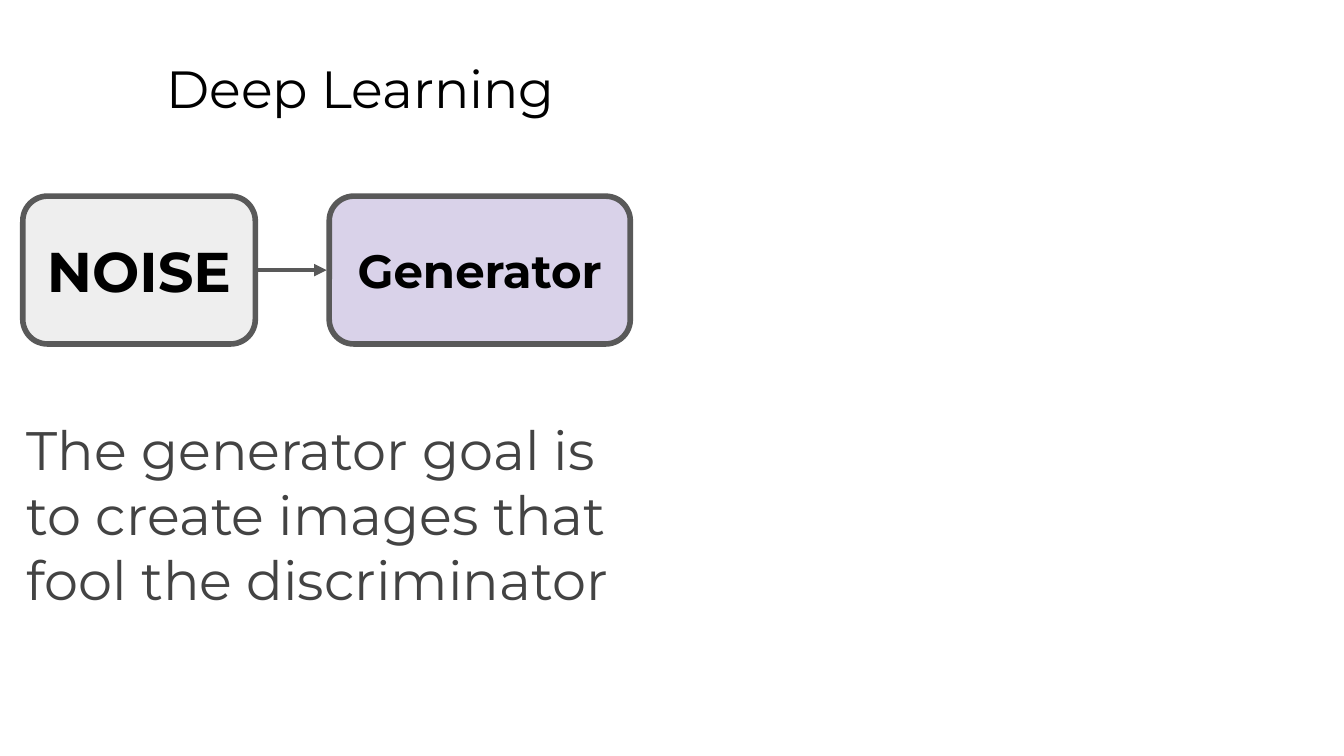
from pptx import Presentation
from pptx import util as u
from pptx.dml import color
from pptx.enum import shapes, text
from pptx.oxml import ns
from lxml import etree

FONT = "Montserrat"
BLACK, GRAY, OUTLINE = "000000", "434343", "595959"
BOX_TOP, BOX_HEIGHT = 1.46, 1.1


def rgb(value):
    return color.RGBColor.from_string(value)


def write(frame, words, size, ink, bold=False):
    frame.word_wrap = True
    frame.margin_left = frame.margin_right = u.Inches(0.1)
    frame.margin_top = frame.margin_bottom = u.Inches(0.1)
    paragraph = frame.paragraphs[0]
    run = paragraph.add_run()
    run.text = words
    run.font.name = FONT
    run.font.size = u.Pt(size)
    run.font.bold = bold
    run.font.color.rgb = rgb(ink)
    return paragraph


def add_text(slide, left, top, width, height, words, size, ink):
    box = slide.shapes.add_textbox(*map(u.Inches, (left, top, width, height)))
    box.text_frame.vertical_anchor = text.MSO_ANCHOR.TOP
    paragraph = write(box.text_frame, words, size, ink)
    paragraph.alignment = text.PP_ALIGN.LEFT
    return paragraph


def add_stage(slide, left, width, fill, words, size):
    stage = slide.shapes.add_shape(
        shapes.MSO_SHAPE.ROUNDED_RECTANGLE,
        *map(u.Inches, (left, BOX_TOP, width, BOX_HEIGHT)))
    stage.shadow.inherit = False
    stage.fill.solid()
    stage.fill.fore_color.rgb = rgb(fill)
    stage.line.color.rgb = rgb(OUTLINE)
    stage.line.width = u.Pt(3)
    stage.text_frame.vertical_anchor = text.MSO_ANCHOR.MIDDLE
    paragraph = write(stage.text_frame, words, size, BLACK, bold=True)
    paragraph.alignment = text.PP_ALIGN.CENTER


def add_arrow(slide, start, end):
    middle = BOX_TOP + BOX_HEIGHT / 2
    arrow = slide.shapes.add_connector(
        shapes.MSO_CONNECTOR.STRAIGHT,
        *map(u.Inches, (start, middle, end, middle)))
    arrow.line.color.rgb = rgb(OUTLINE)
    arrow.line.width = u.Pt(2.25)
    outline = arrow.line._get_or_add_ln()
    etree.SubElement(outline, ns.qn("a:tailEnd"), type="triangle")
    etree.SubElement(arrow._element.spPr, ns.qn("a:effectLst"))


def main():
    deck = Presentation()
    deck.slide_width = u.Inches(10)
    deck.slide_height = deck.slide_width * 9 // 16
    slide = deck.slides.add_slide(deck.slide_layouts[6])

    add_text(slide, 1.14, 0.32, 8.52, 0.63, "Deep Learning", 28, BLACK)
    add_stage(slide, 0.17, 1.73, "EEEEEE", "NOISE", 30)
    add_arrow(slide, 1.9, 2.43)
    add_stage(slide, 2.45, 2.24, "D9D2E9", "Generator", 25)
    goal = add_text(
        slide, 0.1, 3, 4.74, 1.81,
        "The generator goal is to create images that fool the discriminator",
        29, GRAY)
    goal.space_after = u.Pt(16)

    deck.save("out.pptx")


main()
